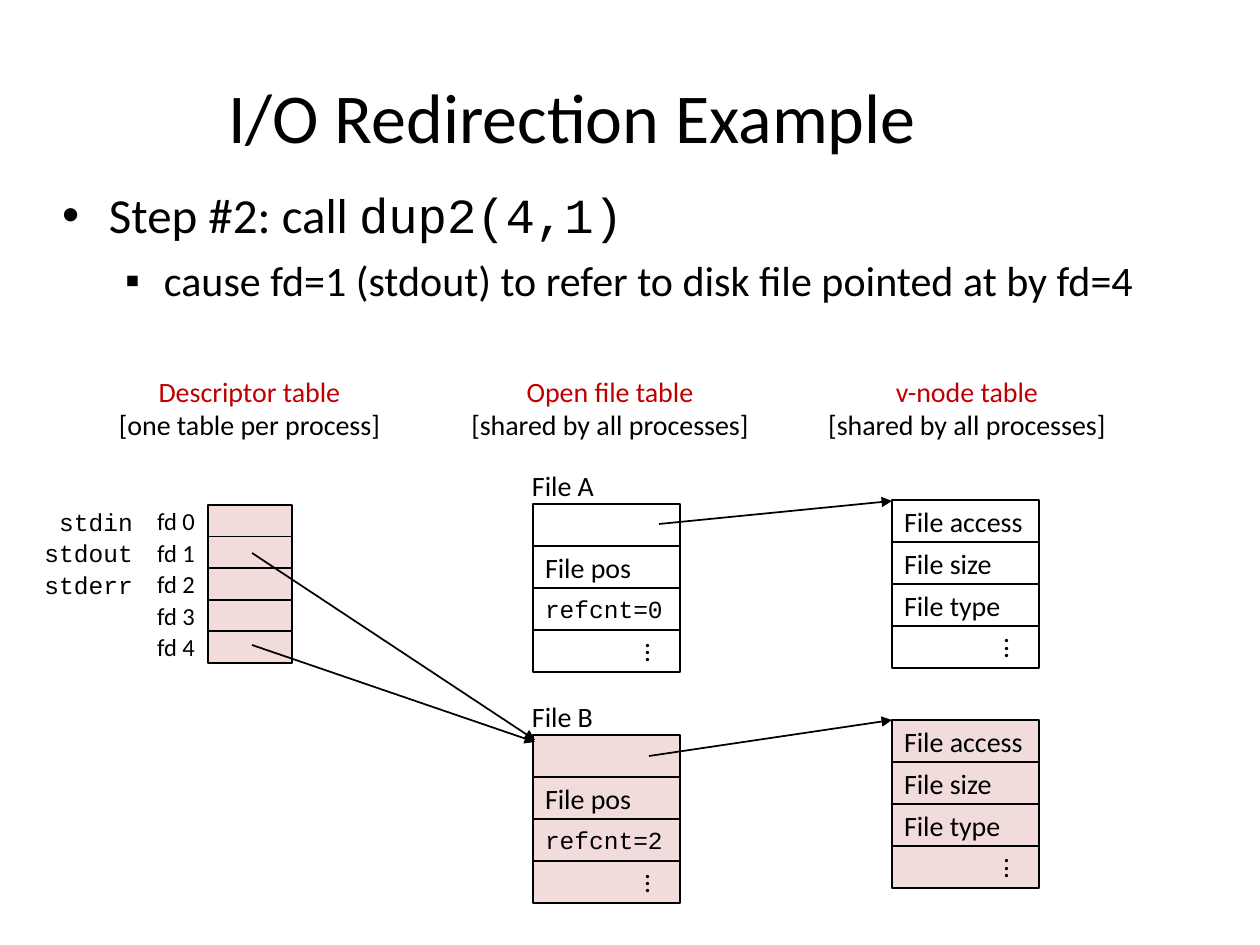
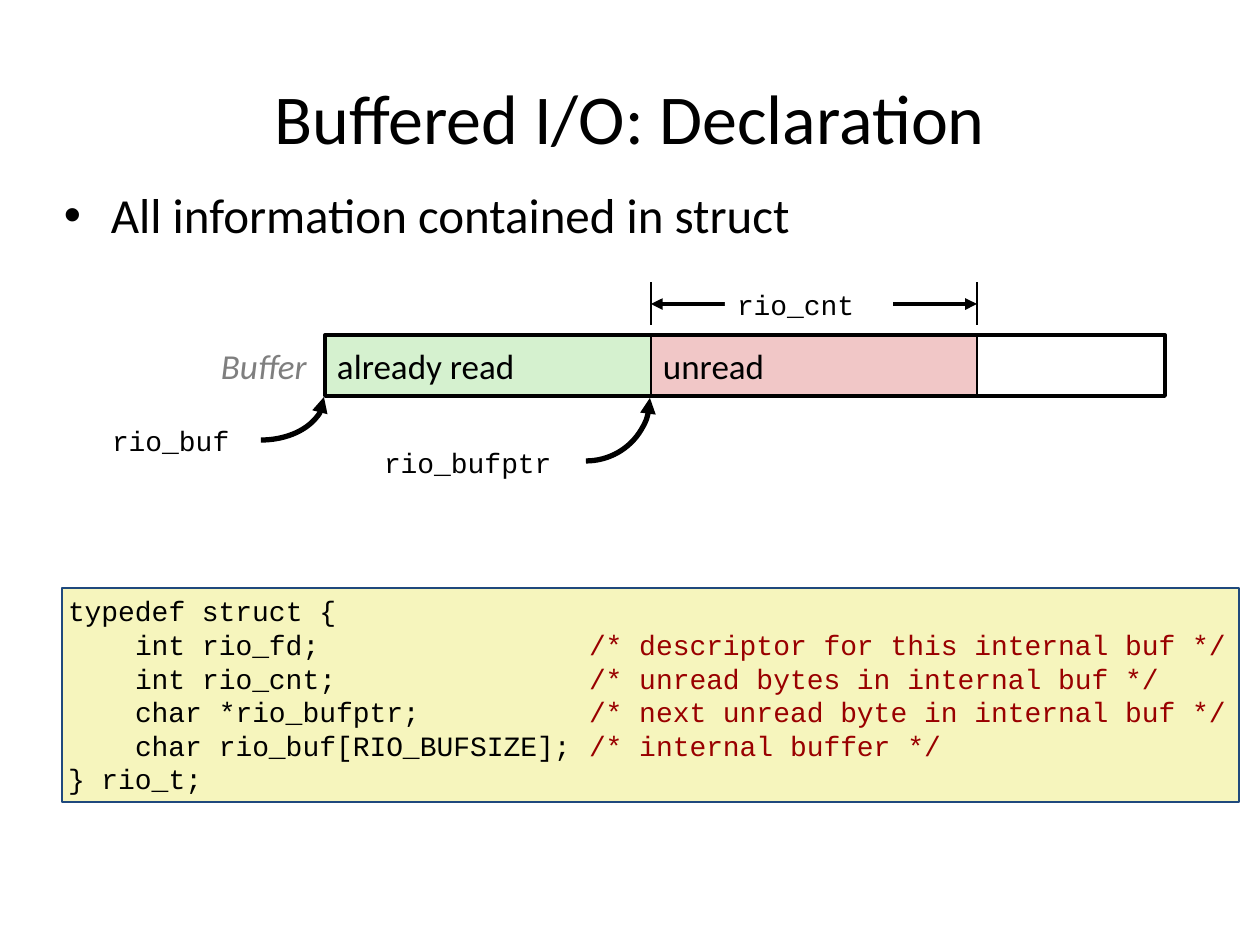
from dataclasses import dataclass, replace

from lxml.etree import SubElement
from pptx import Presentation
from pptx.dml.color import RGBColor
from pptx.enum.shapes import MSO_CONNECTOR, MSO_SHAPE
from pptx.enum.text import MSO_ANCHOR as Anchor, MSO_AUTO_SIZE as AutoSize, PP_ALIGN as Align
from pptx.oxml.ns import qn
from pptx.util import Pt

PX = 914400 / 126


@dataclass(frozen=True)
class Style:
    size: int
    font: str = "Calibri"
    color: str = "000000"
    italic: bool = False


class Theme:
    # Colours
    black, white, navy = "000000", "FFFFFF", "1F497D"
    pink, rose, green, cream = "F2DCDB", "F1C7C7", "D5F1CF", "F6F5BD"
    # Text
    title, point, subpoint = Style(40), Style(28), Style(24)
    label, small, segment = Style(16), Style(14), Style(20)
    heading = Style(16, color="C00000")
    caption = Style(20, color="7F7F7F", italic=True)
    dup_call = Style(28, "Courier New")
    code, small_code = Style(16, "Courier New"), Style(14, "Courier New")
    comment = replace(code, color="990000")
    # Insets: left, top, right, bottom
    inset, inset_vertical, inset_code = (12, 6, 12, 6), (6, 12, 6, 12), (6, 6, 6, 6)


def px(length):
    return round(length * PX)


def rgb(color):
    return RGBColor.from_string(color)


# Text

def add_spans(para, spans):
    for text, style in spans:
        span = para.add_run()
        span.text = text
        span.font.name = style.font
        span.font.size = Pt(style.size)
        span.font.italic = style.italic
        span.font.color.rgb = rgb(style.color)


def write(box, lines, align=Align.LEFT, anchor=Anchor.MIDDLE, inset=Theme.inset,
          wrap=False, grow=False):
    """Fill a shape with lines, each a list of (text, style) spans."""
    frame = box.text_frame
    frame.word_wrap = wrap
    frame.auto_size = AutoSize.SHAPE_TO_FIT_TEXT if grow else AutoSize.NONE
    frame.vertical_anchor = anchor
    (frame.margin_left, frame.margin_top,
     frame.margin_right, frame.margin_bottom) = map(px, inset)
    for index, spans in enumerate(lines):
        para = frame.add_paragraph() if index else frame.paragraphs[0]
        para.alignment = align
        add_spans(para, spans)
    return frame


def add_label(page, area, lines, **options):
    box = page.shapes.add_textbox(*map(px, area))
    write(box, lines, **options)


def set_bullet(para, level):
    char, left, hanging, space = (("•", 47, 47, 7), ("▪", 102, 39, 6))[level]
    para.level = level
    para.space_before = Pt(space)
    props = para._p.get_or_add_pPr()
    props.set("marL", str(px(left)))
    props.set("indent", str(-px(hanging)))
    color = SubElement(props, qn("a:buClr"))
    SubElement(color, qn("a:srgbClr"), val=Theme.black)
    SubElement(props, qn("a:buFont"), typeface="Arial")
    SubElement(props, qn("a:buChar"), char=char)


def set_tabs(para, stops):
    tabs = SubElement(para._p.get_or_add_pPr(), qn("a:tabLst"))
    for stop in stops:
        SubElement(tabs, qn("a:tab"), pos=str(px(stop)), algn="l")


def add_page(deck, title, title_area, points, points_area):
    page = deck.slides.add_slide(deck.slide_layouts[5])
    head = page.shapes.title
    head.left, head.top, head.width, head.height = map(px, title_area)
    write(head, [[(title, Theme.title)]], align=Align.CENTER, wrap=True)
    body = page.shapes.add_textbox(*map(px, points_area))
    frame = write(body, points, anchor=Anchor.TOP, wrap=True)
    for level, para in enumerate(frame.paragraphs):
        set_bullet(para, level)
    return page


# Shapes and lines

def add_rect(page, area, fill=None, line=Theme.black, weight=1.0):
    rect = page.shapes.add_shape(MSO_SHAPE.RECTANGLE, *map(px, area))
    rect.shadow.inherit = False
    if fill:
        rect.fill.solid()
        rect.fill.fore_color.rgb = rgb(fill)
    else:
        rect.fill.background()
    if line:
        rect.line.color.rgb = rgb(line)
        rect.line.width = Pt(weight)
    else:
        rect.line.fill.background()
    return rect


def style_line(shape, weight, ends):
    shape.line.color.rgb = rgb(Theme.black)
    shape.line.width = Pt(weight)
    outline = shape.line._get_or_add_ln()
    for end in ends:
        SubElement(outline, qn(f"a:{end}End"), type="triangle")


def add_line(page, start, end, weight=1.0, ends=()):
    line = page.shapes.add_connector(MSO_CONNECTOR.STRAIGHT, *map(px, start + end))
    style_line(line, weight, ends)
    SubElement(line._element.spPr, qn("a:effectLst"))


def add_curved_arrow(page, tip, tail):
    """Quarter ellipse that leaves the tail sideways and rises to the tip."""
    builder = page.shapes.build_freeform(px(tip[0]), px(tip[1]))
    builder.add_line_segments([(px(tail[0]), px(tail[1]))], close=False)
    curve = builder.convert_to_shape()
    curve.shadow.inherit = False
    curve.fill.background()
    segment = curve._element.find(".//" + qn("a:lnTo"))
    outline = segment.getparent()
    outline.remove(segment)
    SubElement(outline, qn("a:arcTo"), wR=str(px(tip[0] - tail[0])),
               hR=str(px(tail[1] - tip[1])), stAng="0", swAng="5400000")
    style_line(curve, 3, ["head"])


def add_record(page, left, top, fields, fill):
    """Stack of named fields, closed by a cell with vertical dots."""
    width, height = 147, 42
    for row, field in enumerate(fields + [("...", Theme.label)]):
        cell = add_rect(page, (left, top + row * height, width, height), fill)
        if row == len(fields):
            frame = write(cell, [[field]], anchor=Anchor.TOP, inset=Theme.inset_vertical)
            frame._txBody.bodyPr.set("vert", "eaVert")
        elif field[0]:
            write(cell, [[field]])


# Slides

def add_redirection(deck):
    page = add_page(
        deck, "I/O Redirection Example", (49, 63, 1046, 105),
        [[("Step #2: call ", Theme.point), ("dup2(4,1)", Theme.dup_call)],
         [("cause fd=1 (stdout) to refer to disk file pointed at by fd=4", Theme.subpoint)]],
        (50, 179, 1188, 183))

    # Column headings
    for left, width, name, scope in (
            (106, 287, "Descriptor table", "[one table per process]"),
            (458, 304, "Open file table", "[shared by all processes]"),
            (815, 304, "v-node table", "[shared by all processes]")):
        add_label(page, (left, 368, width, 80),
                  [[(name, Theme.heading)], [(scope, Theme.label)]],
                  align=Align.CENTER, grow=True)

    # Descriptor table
    streams = ["stdin", "stdout", "stderr"]
    count, top = 5, 505
    height = 158 / count
    for number in range(count):
        y = top + number * height
        add_rect(page, (208, y, 84, height), Theme.pink)
        add_label(page, (123, y, 84, height), [[(f"fd {number}", Theme.small)]],
                  align=Align.RIGHT)
        if number < len(streams):
            add_label(page, (32, y - 5, 113, 43), [[(streams[number], Theme.small_code)]],
                      align=Align.RIGHT, grow=True)

    # Open files and their v-nodes
    for name, references, file_top, node_top, fill in (
            ("File A", 0, 504, 500, Theme.white),
            ("File B", 2, 735, 720, Theme.pink)):
        add_record(page, 533, file_top,
                   [("", Theme.label), ("File pos", Theme.label),
                    (f"refcnt={references}", Theme.small_code)], fill)
        add_record(page, 892, node_top,
                   [(f"File {field}", Theme.label) for field in ("access", "size", "type")],
                   fill)
        add_label(page, (520, file_top - 42, 86, 47), [[(name, Theme.label)]], grow=True)

    # Pointers
    for start, end in (((252, 553), (535, 740)), ((252, 645), (535, 742)),
                       ((659, 524), (892, 501)), ((649, 756), (892, 720))):
        add_line(page, start, end, ends=["tail"])


def add_declaration(deck):
    page = add_page(
        deck, "Buffered I/O: Declaration", (63, 38, 1134, 158),
        [[("All information contained in struct", Theme.point)]], (52, 179, 1145, 83))

    # Struct declaration
    fields = [("int rio_fd;", "descriptor for this internal buf"),
              ("int rio_cnt;", "unread bytes in internal buf"),
              ("char *rio_bufptr;", "next unread byte in internal buf"),
              ("char rio_buf[RIO_BUFSIZE];", "internal buffer")]
    lines = [[(f"\t{field}\t", Theme.code), (f"/* {note} */", Theme.comment)]
             for field, note in fields]
    listing = add_rect(page, (62, 588, 1177, 214), Theme.cream, Theme.navy)
    frame = write(listing,
                  [[("typedef struct {", Theme.code)], *lines, [("} rio_t;", Theme.code)]],
                  anchor=Anchor.TOP, inset=Theme.inset_code, wrap=True, grow=True)
    for para in frame.paragraphs:
        set_tabs(para, (67, 521))

    # Buffer bar
    left, middle, right, top, height = 325, 651, 977, 335, 61
    for start, end, text, fill in ((middle, right, "unread", Theme.rose),
                                   (left, middle, "already read", Theme.green)):
        part = add_rect(page, (start, top, end - start, height), fill, weight=1.5)
        write(part, [[(text, Theme.segment)]])
    add_rect(page, (left, top, 840, height), weight=2.25)
    add_label(page, (209, 338, 111, 55), [[("Buffer", Theme.caption)]],
              anchor=Anchor.TOP, grow=True)

    # Pointers into the buffer
    for text, area, tip, tail in (
            ("rio_buf", (100, 418, 144, 47), (324, 397), (261, 440)),
            ("rio_bufptr", (372, 440, 221, 47), (650, 398), (586, 461))):
        add_curved_arrow(page, tip, tail)
        add_label(page, area, [[(text, Theme.code)]], anchor=Anchor.TOP, wrap=True, grow=True)

    # Unread count
    for x in (middle, right):
        add_line(page, (x, 325), (x, 282), 1.5)
    add_line(page, (middle, 304), (right, 304), 2.25, ["head", "tail"])
    count = add_rect(page, (725, 282, 168, 47), Theme.white, line=None)
    write(count, [[("rio_cnt", Theme.code)]], anchor=Anchor.TOP, wrap=True, grow=True)


def main():
    deck = Presentation()
    deck.slide_width, deck.slide_height = px(1260), px(945)
    add_redirection(deck)
    add_declaration(deck)
    deck.save("out.pptx")


if __name__ == "__main__":
    main()
